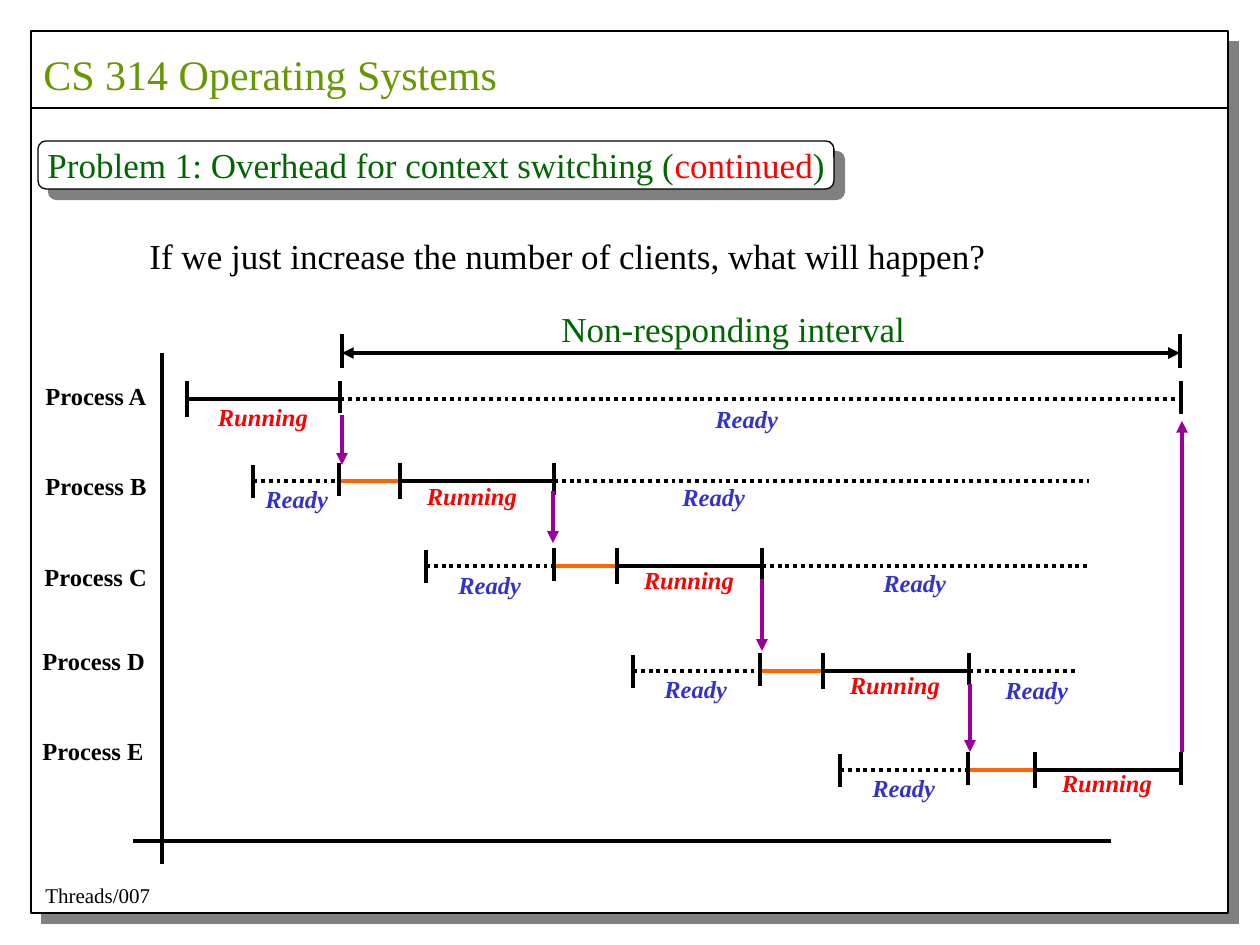
from pptx import Presentation
from pptx.dml.color import RGBColor as RGB
from pptx.enum.dml import MSO_LINE
from pptx.enum.shapes import MSO_CONNECTOR as CONN, MSO_SHAPE as SHAPE
from pptx.oxml.xmlchemy import OxmlElement
from pptx.util import Pt

PX = 914400 / 126
COLORS = {"white": "FFFFFF", "black": "000000", "shadow": "808080", "olive": "669900",
          "green": "006600", "red": "FF0000", "blue": "3333CC", "orange": "FF6600",
          "purple": "990099"}
PHASES = {
    "wait": dict(tick=(16, 17), color="black", dash=True, label="Ready"),
    "switch": dict(tick=(18, 15), color="orange", dash=False, label=None),
    "run": dict(tick=(18, 18), color="black", dash=False, label="Running"),
    "ready": dict(tick=(18, 14), color="black", dash=True, label="Ready"),
    "end": dict(tick=(18, 15)),
    "fade": dict(tick=None),
}
LABELS = {"Ready": (88, "blue"), "Running": (115, "red")}
LANES = [
    ("Process A", 46, -129, 22, [("run", 25, 101, -3), ("ready", 178, 585, -1), ("end", 1019)]),
    ("Process B", 128, -129, 112, [("wait", 91, 135, -3), ("switch", 177),
                                   ("run", 238, 310, -6), ("ready", 392, 552, -5),
                                   ("fade", 927)]),
    ("Process C", 213, -130, 203, [("wait", 264, 328, -2), ("switch", 392),
                                   ("run", 455, 527, -7), ("ready", 600, 753, -4),
                                   ("fade", 928)]),
    ("Process D", 318, -132, 287, [("wait", 471, 534, -3), ("switch", 598),
                                   ("run", 661, 733, -7), ("ready", 807, 875, -2),
                                   ("fade", 915)]),
    ("Process E", 417, -132, 377, [("wait", 678, 742, -3), ("switch", 806),
                                   ("run", 873, 945, -8), ("end", 1019)]),
]
HANDOVERS = [(180, 62, 112), (391, 138, 190), (600, 226, 298), (808, 331, 399), (1020, 399, 68)]


def px(*values):
    """Turn px lengths into EMU."""
    return [round(v * PX) for v in values]


def color(name):
    """Look up a named colour."""
    return RGB.from_string(COLORS[name])


def add_line(s, x1, y1, x2, y2, ink="black", width=2.25, dash=False, ends=()):
    """Draw a straight line, dotted or with arrowheads if asked."""
    c = s.shapes.add_connector(CONN.STRAIGHT, *px(x1, y1, x2, y2))
    c.line.color.rgb = color(ink)
    c.line.width = Pt(width)
    if dash:
        c.line.dash_style = MSO_LINE.ROUND_DOT
    for end in ends:
        arrow = OxmlElement(f"a:{end}")
        arrow.set("type", "triangle")
        c.line._get_or_add_ln().append(arrow)
    c._element.spPr.append(OxmlElement("a:effectLst"))


def add_text(s, box, runs, size, **fmt):
    """Write one line of coloured runs in a text box."""
    tf = s.shapes.add_textbox(*px(*box)).text_frame
    tf.word_wrap = False
    for text, ink in runs:
        r = tf.paragraphs[0].add_run()
        r.text = text
        for key, value in dict(name="Times New Roman", size=Pt(size), **fmt).items():
            setattr(r.font, key, value)
        r.font.color.rgb = color(ink)


def add_panel(s, kind, box):
    """Draw a white outlined panel with a hard shadow."""
    sp = s.shapes.add_shape(kind, *px(*box))
    sp.shadow.inherit = False
    sp.fill.solid()
    sp.fill.fore_color.rgb = color("white")
    sp.line.color.rgb = color("black")
    sp.line.width = Pt(0.75)
    shadow = OxmlElement("a:outerShdw")
    for key, value in dict(blurRad=0, dist=Pt(8.5), dir=2700000, algn="tl", rotWithShape=0).items():
        shadow.set(key, str(value))
    ink = OxmlElement("a:srgbClr")
    ink.set("val", COLORS["shadow"])
    shadow.append(ink)
    sp._element.spPr.find("{*}effectLst").append(shadow)


def add_frame(s, x, y, w, h):
    """Place the page frame with its course title and footer."""
    add_panel(s, SHAPE.RECTANGLE, (x, y, w, h))
    add_line(s, x, y + 77, x + w, y + 77, width=0.75)
    add_text(s, (x, y + 11, 479, 63), [("CS 314 Operating Systems", "olive")], 24)
    add_text(s, (x + 2, y + 845, 130, 38), [("Threads/007", "black")], 12)


def add_heading(s, x, y, w, h):
    """Place the rounded heading and the question under it."""
    add_panel(s, SHAPE.ROUNDED_RECTANGLE, (x, y, w, h))
    runs = [("Problem 1: Overhead for context switching (", "green"),
            ("continued", "red"), (")", "green")]
    add_text(s, (x - 3, y - 4, w + 6, h + 8), runs, 20)
    question = "If we just increase the number of clients, what will happen?"
    add_text(s, (x + 99, y + 87, 862, 55), [(question, "black")], 20)


def add_lane(s, x, y, phases):
    """Draw the phases of one process from left to right."""
    for (kind, start, *label), following in zip(phases, phases[1:] + [None]):
        style = PHASES[kind]
        if following:
            add_line(s, x + start, y, x + following[1], y, style["color"], dash=style["dash"])
        if style["tick"]:
            up, down = style["tick"]
            add_line(s, x + start, y - up, x + start, y + down)
        if label:
            mid, drop = label
            w, ink = LABELS[style["label"]]
            add_text(s, (x + mid - w / 2, y + drop, w, 43), [(style["label"], ink)], 14,
                     bold=True, italic=True)


def add_timeline(s, x, y, w, h):
    """Draw the axes, the process lanes and the handover arrows."""
    add_line(s, x, y, x, y + h)
    add_line(s, x - 29, y + h - 23, x + w, y + h - 23)
    for name, lane_y, name_x, name_y, phases in LANES:
        add_text(s, (x + name_x, y + name_y, 128, 43), [(name, "black")], 14, bold=True)
        add_lane(s, x, y + lane_y, phases)
    for dx, start, end in HANDOVERS:
        add_line(s, x + dx, y + start, x + dx, y + end, "purple", ends=["tailEnd"])


def add_interval(s, x, y, w, h):
    """Draw the measured interval with its caption."""
    mid = y + h / 2 + 2
    add_line(s, x, mid, x + w, mid, ends=["headEnd", "tailEnd"])
    for edge in (x, x + w):
        add_line(s, edge, y, edge, y + h)
    add_text(s, (x + 207, y - 33, 369, 55), [("Non-responding interval", "green")], 20)


def main():
    """Build the slide and save it."""
    prs = Presentation()
    prs.slide_width, prs.slide_height = px(1260, 945)
    s = prs.slides.add_slide(prs.slide_layouts[6])
    add_frame(s, 31, 31, 1197, 882)
    add_heading(s, 38, 141, 796, 48)
    add_timeline(s, 162, 353, 949, 511)
    add_interval(s, 342, 334, 838, 34)
    prs.save("out.pptx")


if __name__ == "__main__":
    main()
